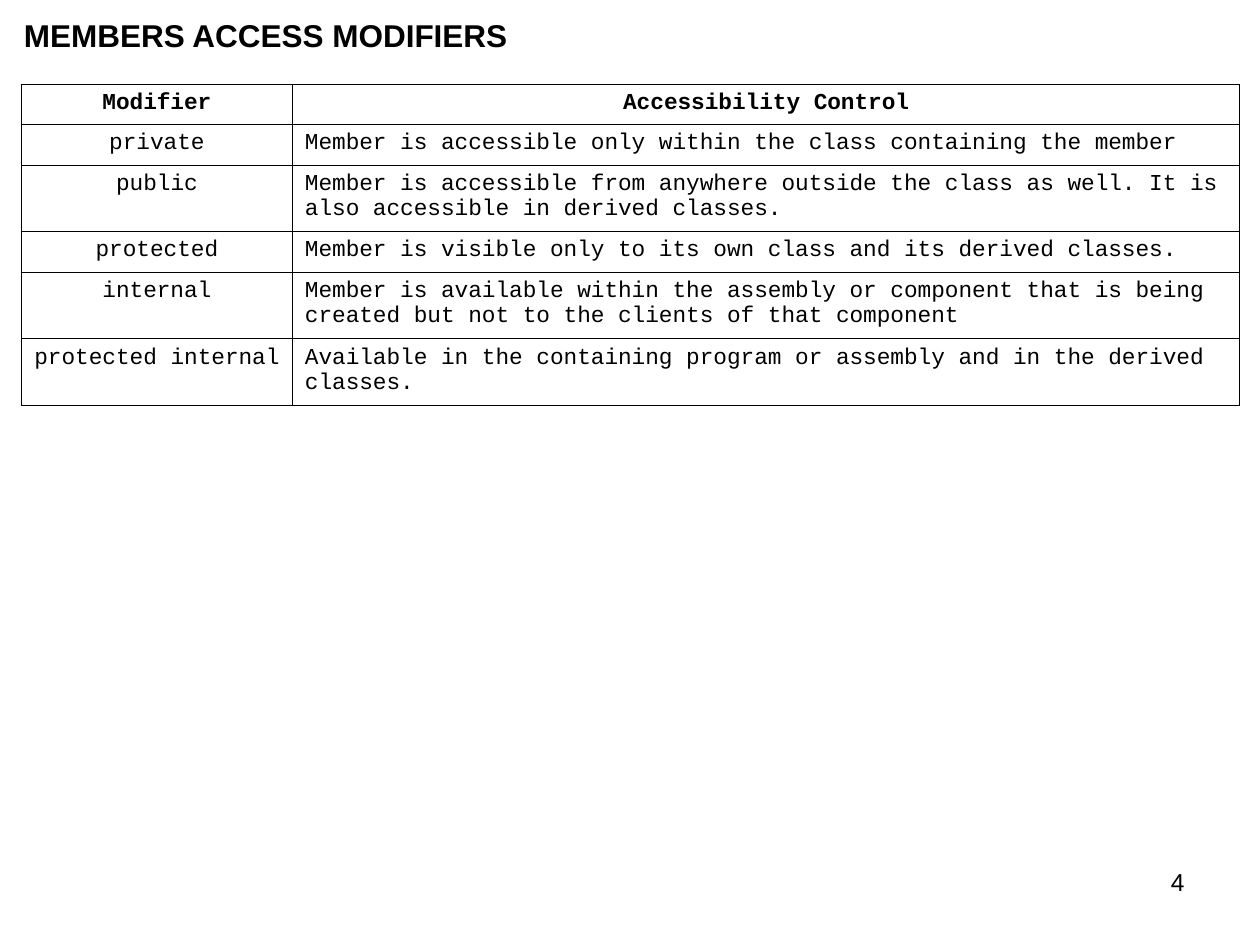
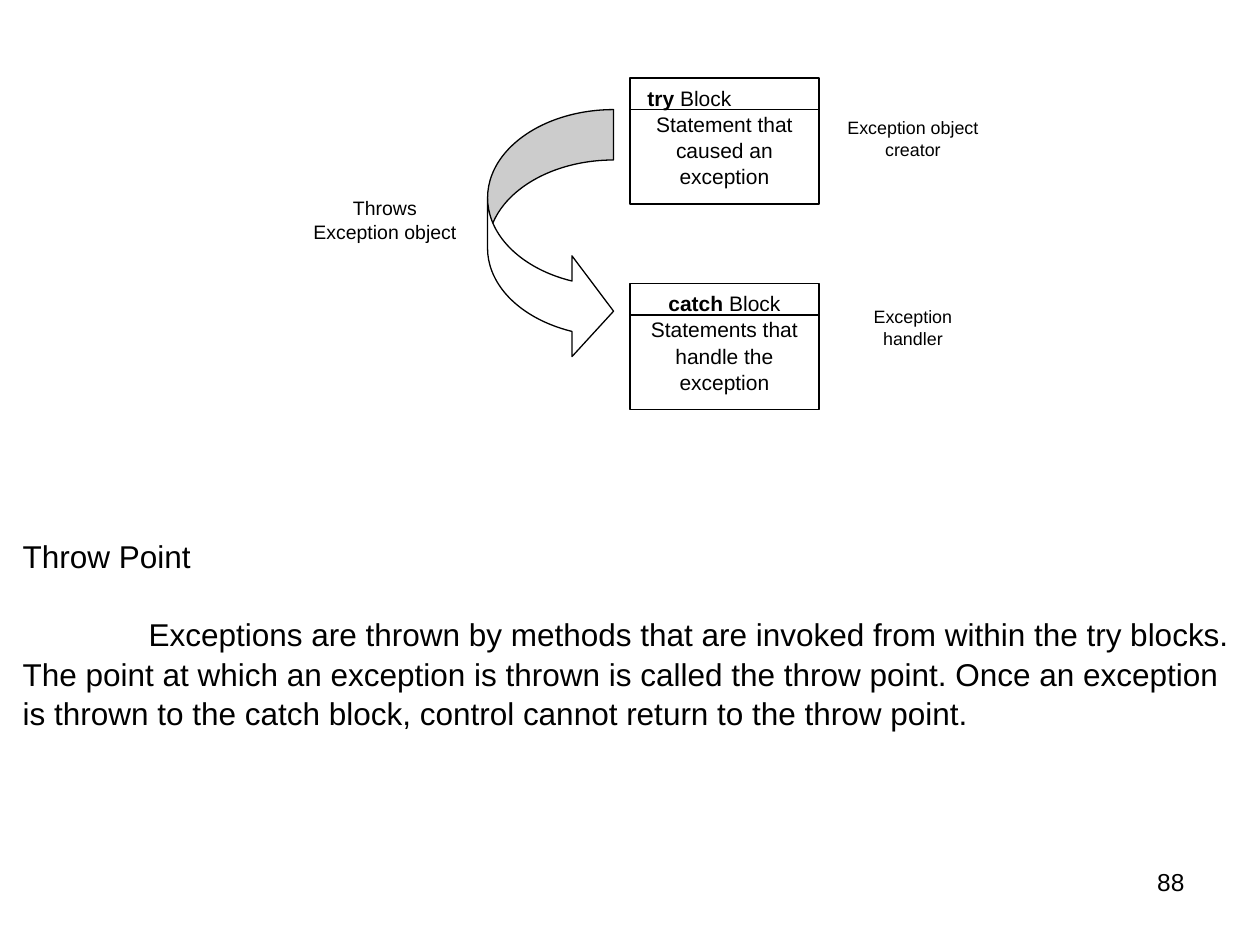
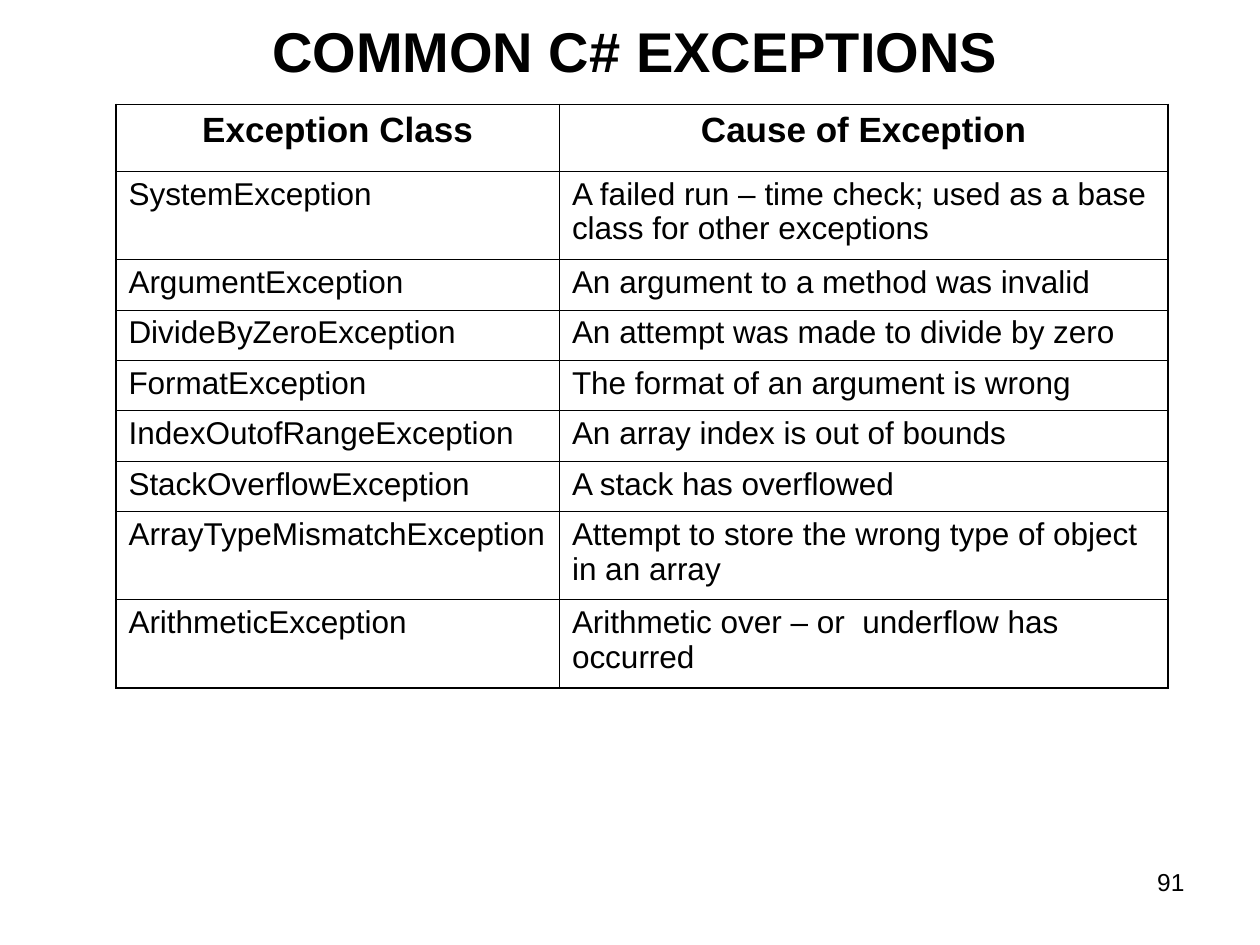
from dataclasses import dataclass

from pptx import Presentation
from pptx.dml.color import RGBColor
from pptx.enum.shapes import MSO_CONNECTOR, MSO_SHAPE
from pptx.enum.text import MSO_ANCHOR, MSO_AUTO_SIZE, PP_ALIGN
from pptx.oxml.ns import qn
from pptx.util import Inches, Pt

RECT, ARROW = MSO_SHAPE.RECTANGLE, MSO_SHAPE.CURVED_RIGHT_ARROW
STRAIGHT = MSO_CONNECTOR.STRAIGHT
TOP, MIDDLE = MSO_ANCHOR.TOP, MSO_ANCHOR.MIDDLE
LEFT, CENTER, RIGHT = PP_ALIGN.LEFT, PP_ALIGN.CENTER, PP_ALIGN.RIGHT
NO_FIT = MSO_AUTO_SIZE.NONE

BLACK = RGBColor(0, 0, 0)
WHITE = RGBColor(255, 255, 255)
SANS, MONO = "Arial", "Courier New"
THIN, THICK = Pt(0.45), Pt(1.08)
STROKE = Pt(0.75)
LOOSE = 1.04
LAY_BODY, LAY_TITLE = 1, 5


@dataclass
class Box:
    """A place on the slide, in inches."""
    x: float
    y: float
    w: float
    h: float

    def frame(self) -> tuple:
        """Return the four lengths."""
        return Inches(self.x), Inches(self.y), Inches(self.w), Inches(self.h)


@dataclass
class Style:
    """How a paragraph looks."""
    size: float
    font: str = SANS
    align: PP_ALIGN = LEFT
    bold: bool = False
    space: float = 1.0


@dataclass
class Grid:
    """A bordered table with a head row."""
    box: Box
    cols: list[float]
    tall: list[float]
    rows: list[tuple[str, str]]
    head: Style
    cells: tuple[Style, Style]
    edge: Pt


@dataclass
class Block:
    """A code block with a ruled heading."""
    box: Box
    key: str
    text: str
    align: PP_ALIGN
    inset: float


@dataclass
class Label:
    """A caption beside the blocks."""
    box: Box
    text: str
    size: float


PAGE = Box(7.17, 6.83, 2.33, 0.52)
MONO_CELL = Style(13, MONO)
SANS_CELL = Style(18, space=0.98)

ACCESS = Grid(
    Box(0.17, 0.67, 9.67, 2.55), [2.15, 7.52],
    [0.32, 0.32, 0.53, 0.32, 0.53, 0.53],
    [
        ("Modifier", "Accessibility Control"),
        ("private", "Member is accessible only within the class containing the member"),
        ("public", "Member is accessible from anywhere outside the class as well. "
                   "It is also accessible in derived classes."),
        ("protected", "Member is visible only to its own class and its derived classes."),
        ("internal", "Member is available within the assembly or component that is being "
                     "created but not to the clients of that component"),
        ("protected internal", "Available in the containing program or assembly and in the "
                               "derived classes."),
    ],
    Style(13, MONO, CENTER, True), (Style(13, MONO, CENTER), MONO_CELL), THIN)

ERRORS = Grid(
    Box(0.92, 0.83, 8.35, 4.63), [3.52, 4.83],
    [0.53, 0.7] + [0.4] * 5 + [0.7, 0.7],
    [
        ("Exception Class", "Cause of Exception"),
        ("SystemException", "A failed run – time check; used as a base class for other exceptions"),
        ("ArgumentException", "An argument to a method was invalid"),
        ("DivideByZeroException", "An attempt was made to divide by zero"),
        ("FormatException", "The format of an argument is wrong"),
        ("IndexOutofRangeException", "An array index is out of bounds"),
        ("StackOverflowException", "A stack has overflowed"),
        ("ArrayTypeMismatchException", "Attempt to store the wrong type of object in an array"),
        ("ArithmeticException", "Arithmetic over – or  underflow has occurred"),
    ],
    Style(20, SANS, CENTER, True), (SANS_CELL, SANS_CELL), THICK)

BLOCKS = [
    Block(Box(5, 0.62, 1.5, 1), "try", "Statement that caused an exception", LEFT, 0.04),
    Block(Box(5, 2.25, 1.5, 1), "catch", "Statements that handle the exception", CENTER, 0),
]
LABELS = [
    Label(Box(2.37, 1.5, 1.37, 0.5), "Throws Exception object", 11.1),
    Label(Box(6.62, 0.87, 1.25, 0.46), "Exception object creator", 10.2),
    Label(Box(6.62, 2.37, 1.25, 0.46), "Exception handler", 10.2),
]
THROW = ("Exceptions are thrown by methods that are invoked from within the try blocks. "
         "The point at which an exception is thrown is called the throw point. Once an "
         "exception is thrown to the catch block, control cannot return to the throw point.")


def add_run(para, text: str, style: Style, bold: bool) -> None:
    """Add one run of text."""
    run = para.add_run()
    run.text = text
    font = run.font
    font.name, font.size, font.bold = style.font, Pt(style.size), bold
    font.color.rgb = BLACK


def write(para, text: str, style: Style, key: str = "") -> None:
    """Fill a paragraph, with an optional bold key word first."""
    para.alignment = style.align
    para.line_spacing = style.space
    para.space_before = Pt(0)
    if key:
        add_run(para, key, style, True)
    add_run(para, text, style, style.bold)


def place(shape, box: Box, anchor: MSO_ANCHOR, wrap: bool = True):
    """Move a shape and set up its text frame."""
    shape.left, shape.top, shape.width, shape.height = box.frame()
    frame = shape.text_frame
    frame.word_wrap, frame.auto_size = wrap, NO_FIT
    frame.vertical_anchor = anchor
    return frame


def add_page(slide, number: int) -> None:
    """Write the slide number."""
    frame = place(slide.shapes.add_textbox(*PAGE.frame()), PAGE, TOP)
    write(frame.paragraphs[0], str(number), Style(14, align=RIGHT))


def add_edge(props, tag: str, width: Pt) -> None:
    """Add one border line to a cell."""
    line = props.makeelement(qn(tag), {"w": str(int(width))})
    fill = line.makeelement(qn("a:solidFill"), {})
    fill.append(fill.makeelement(qn("a:srgbClr"), {"val": str(BLACK)}))
    line.append(fill)
    props.append(line)


def add_grid(slide, grid: Grid) -> None:
    """Draw a bordered table."""
    count, wide = len(grid.rows), len(grid.cols)
    table = slide.shapes.add_table(count, wide, *grid.box.frame()).table
    table.first_row = table.horz_banding = False
    for col, width in zip(table.columns, grid.cols):
        col.width = Inches(width)
    for row, height in zip(table.rows, grid.tall):
        row.height = Inches(height)
    for i, texts in enumerate(grid.rows):
        for j, text in enumerate(texts):
            cell = table.cell(i, j)
            sides = {"a:lnL": j == 0, "a:lnR": j == wide - 1,
                     "a:lnT": i == 0, "a:lnB": i == count - 1}
            for tag, outer in sides.items():
                add_edge(cell._tc.get_or_add_tcPr(), tag, grid.edge if outer else THIN)
            cell.fill.background()
            style = grid.cells[j] if i else grid.head
            write(cell.text_frame.paragraphs[0], text, style)


def add_form(slide, kind: MSO_SHAPE, box: Box, line: RGBColor):
    """Draw a white preset shape."""
    shape = slide.shapes.add_shape(kind, *box.frame())
    shape.shadow.inherit = False
    shape.fill.solid()
    shape.fill.fore_color.rgb = WHITE
    shape.line.color.rgb = line
    shape.line.width = STROKE
    return shape


def add_block(slide, block: Block) -> None:
    """Draw a code block and the rule under its heading."""
    box = block.box
    frame = place(add_form(slide, RECT, box, BLACK), box, TOP)
    first = frame.paragraphs[0]
    first._p.get_or_add_pPr().set("marL", str(Inches(block.inset)))
    write(first, " Block", Style(12, align=block.align, space=LOOSE), block.key)
    write(frame.add_paragraph(), block.text, Style(12, align=CENTER, space=LOOSE))
    y = Inches(box.y + 0.25)
    rule = slide.shapes.add_connector(STRAIGHT, Inches(box.x), y, Inches(box.x + box.w), y)
    rule.line.color.rgb = BLACK
    rule.line.width = STROKE
    props = rule._element.spPr
    props.append(props.makeelement(qn("a:effectLst"), {}))


def add_label(slide, label: Label) -> None:
    """Draw a caption."""
    frame = place(add_form(slide, RECT, label.box, WHITE), label.box, TOP)
    write(frame.paragraphs[0], label.text, Style(label.size, align=CENTER, space=LOOSE))


def add_body(slide, box: Box) -> None:
    """Fill the body placeholder with the throw point text."""
    frame = place(slide.placeholders[1], box, MIDDLE)
    style = Style(18, space=1.05)
    for para, text, indent in ((frame.paragraphs[0], "Throw Point", 0),
                               (frame.add_paragraph(), THROW, 1)):
        props = para._p.get_or_add_pPr()
        props.set("marL", "0")
        props.set("indent", str(Inches(indent)))
        props.append(props.makeelement(qn("a:buNone"), {}))
        write(para, text, style)
    para.space_before = Pt(21.7)


def table_slide(deck, title: str, box: Box, style: Style, anchor: MSO_ANCHOR,
                wrap: bool, grid: Grid, number: int) -> None:
    """Build a slide with a title and a table."""
    slide = deck.slides.add_slide(deck.slide_layouts[LAY_TITLE])
    frame = place(slide.shapes.title, box, anchor, wrap)
    write(frame.paragraphs[0], title, style)
    add_grid(slide, grid)
    add_page(slide, number)


def throw_slide(deck) -> None:
    """Build the slide on the throw point."""
    slide = deck.slides.add_slide(deck.slide_layouts[LAY_BODY])
    title = slide.shapes.title._element
    title.getparent().remove(title)
    for block in BLOCKS:
        add_block(slide, block)
    arrow = add_form(slide, ARROW, Box(3.87, 0.87, 1, 2), BLACK)
    for i, value in enumerate((0.4, 0.8, 0.33)):
        arrow.adjustments[i] = value
    for label in LABELS:
        add_label(slide, label)
    add_body(slide, Box(0.08, 4.23, 9.92, 1.6))
    add_page(slide, 88)


def main() -> None:
    """Build and save the deck."""
    deck = Presentation()
    deck.slide_width, deck.slide_height = Inches(10), Inches(7.5)
    table_slide(deck, "MEMBERS ACCESS MODIFIERS", Box(0.09, 0.08, 4.05, 0.4),
                Style(18, bold=True), MIDDLE, False, ACCESS, 4)
    throw_slide(deck)
    table_slide(deck, "COMMON C# EXCEPTIONS", Box(0.75, 0.08, 8.58, 0.64),
                Style(32, align=CENTER, bold=True), TOP, True, ERRORS, 91)
    deck.save("out.pptx")


if __name__ == "__main__":
    main()
